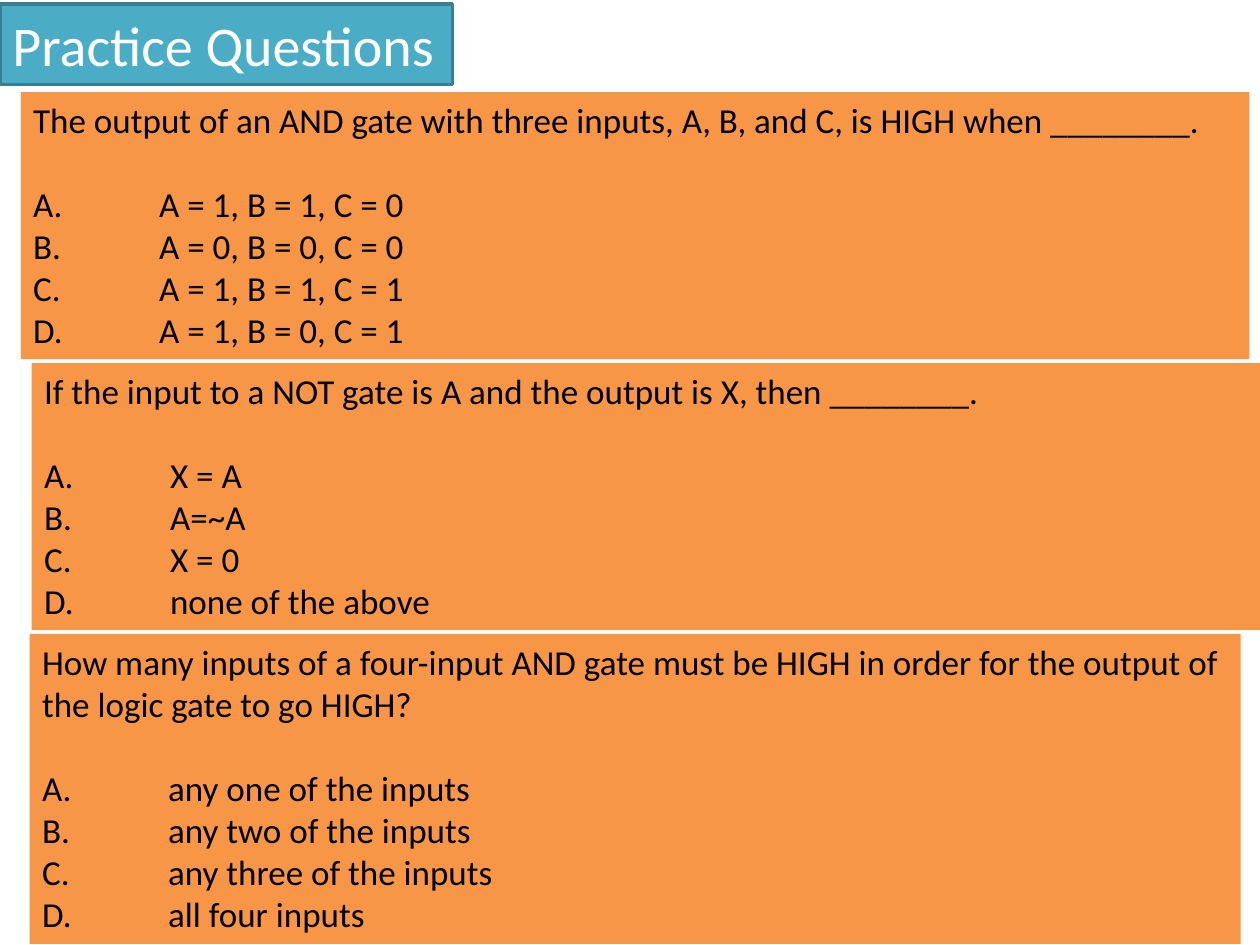
from typing import NamedTuple

from lxml.etree import SubElement
from pptx import Presentation
from pptx.dml.color import RGBColor
from pptx.enum.shapes import MSO_SHAPE
from pptx.enum.text import MSO_ANCHOR, MSO_AUTO_SIZE, PP_ALIGN
from pptx.oxml.ns import qn
from pptx.util import Cm, Pt


class Quiz(NamedTuple):
    left: float
    width: float
    height: float
    ask: str
    picks: tuple[str, ...]


TOP, GAP = 1.86, 0.08
TAB = Cm(2.54)
FRAME = {"auto_size": MSO_AUTO_SIZE.SHAPE_TO_FIT_TEXT,
         "vertical_anchor": MSO_ANCHOR.TOP}
BODY = {"name": "Calibri", "size": Pt(20)}
HEAD = {"name": "Calibri", "size": Pt(32)}

QUIZZES = [
    Quiz(0.42, 24.77, 5.38,
         "The output of an AND gate with three inputs, A, B, and C, is HIGH when ________.",
         ("A = 1, B = 1, C = 0", "A = 0, B = 0, C = 0",
          "A = 1, B = 1, C = 1", "A = 1, B = 0, C = 1")),
    Quiz(0.64, 24.77, 5.38,
         "If the input to a NOT gate is A and the output is X, then ________.",
         ("X = A", "A=~A", "X = 0", "none of the above")),
    Quiz(0.6, 24.41, 6.25,
         "How many inputs of a four-input AND gate must be HIGH in order "
         "for the output of the logic gate to go HIGH?",
         ("any one of the inputs", "any two of the inputs",
          "any three of the inputs", "all four inputs")),
]


def tint(code: str) -> RGBColor:
    return RGBColor.from_string(code)


def apply(item, looks: dict) -> None:
    for key, value in looks.items():
        setattr(item, key, value)


def add_box(slide, left: float, top: float, width: float, height: float,
            fill: str, wrap: bool = True):
    box = slide.shapes.add_shape(
        MSO_SHAPE.RECTANGLE, Cm(left), Cm(top), Cm(width), Cm(height))
    box.shadow.inherit = False
    box.fill.solid()
    box.fill.fore_color.rgb = tint(fill)
    box.line.fill.background()
    apply(box.text_frame, FRAME | {"word_wrap": wrap})
    return box


def add_tab(para) -> None:
    props = para._p.get_or_add_pPr()
    tabs = SubElement(props, qn("a:tabLst"))
    SubElement(tabs, qn("a:tab"), pos=str(int(TAB)), algn="l")


def write(para, text: str, looks: dict, color: str) -> None:
    para.text = text
    para.alignment = PP_ALIGN.LEFT
    apply(para.font, looks)
    para.font.color.rgb = tint(color)


def add_quiz(slide, quiz: Quiz, top: float) -> None:
    box = add_box(slide, quiz.left, top, quiz.width, quiz.height, "F79646")
    frame = box.text_frame
    write(frame.paragraphs[0], quiz.ask, BODY, "000000")
    frame.paragraphs[0].space_after = Pt(24)
    for mark, pick in zip("ABCD", quiz.picks):
        para = frame.add_paragraph()
        add_tab(para)
        write(para, f"{mark}.\t{pick}", BODY, "000000")


def add_title(slide, text: str) -> None:
    box = add_box(slide, 0, 0.08, 9.12, 1.63, "4BACC6", wrap=False)
    box.line.color.rgb = tint("377F92")
    box.line.width = Pt(2)
    write(box.text_frame.paragraphs[0], text, HEAD, "FFFFFF")


def main() -> None:
    deck = Presentation()
    deck.slide_width, deck.slide_height = Cm(25.4), Cm(19.05)
    slide = deck.slides.add_slide(deck.slide_layouts[6])
    top = TOP
    for quiz in QUIZZES:
        add_quiz(slide, quiz, top)
        top += quiz.height + GAP
    add_title(slide, "Practice Questions")
    deck.save("out.pptx")


if __name__ == "__main__":
    main()
